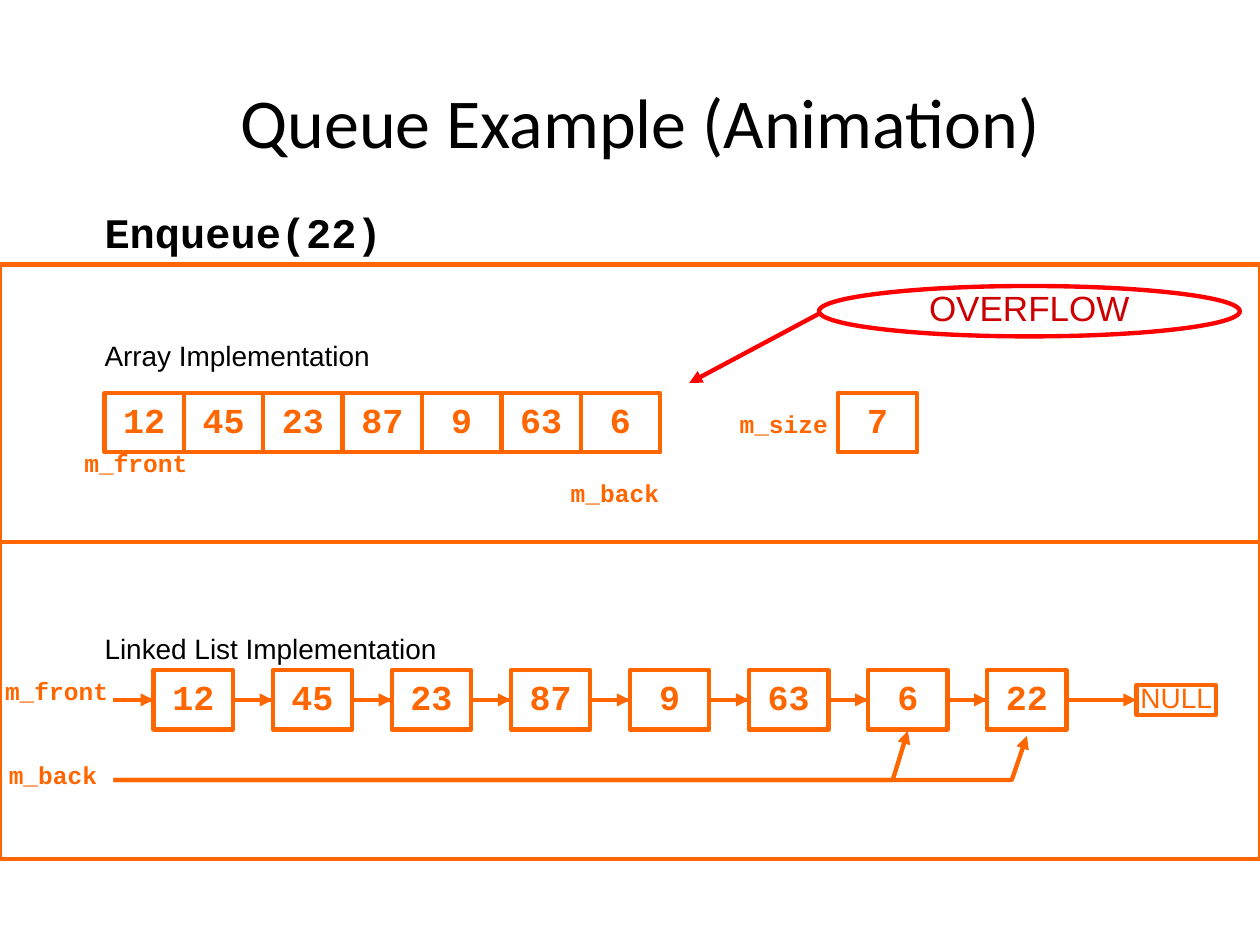
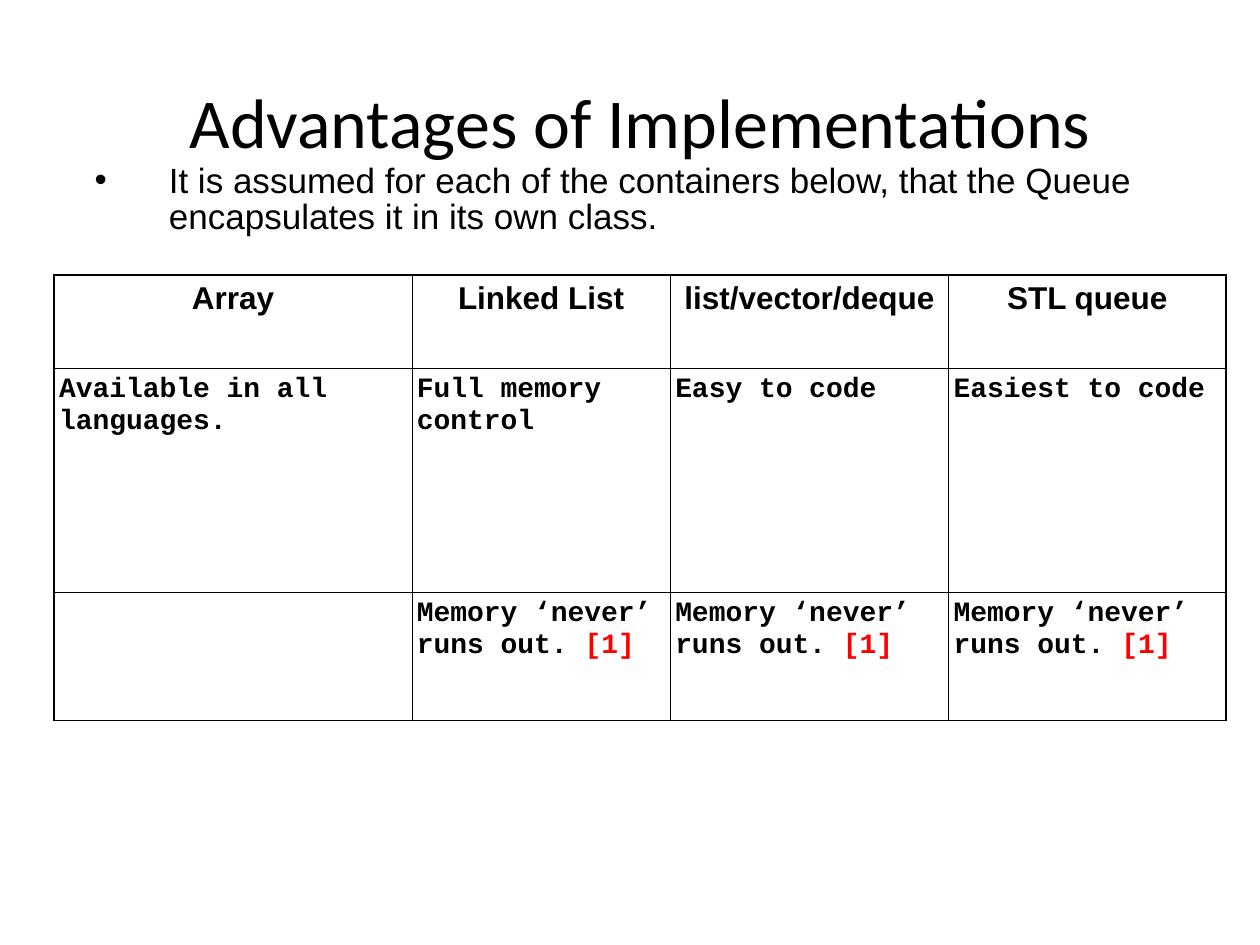
from lxml import etree
from pptx import Presentation
from pptx.dml.color import RGBColor
from pptx.enum.shapes import MSO_CONNECTOR, MSO_SHAPE
from pptx.enum.text import MSO_ANCHOR, MSO_AUTO_SIZE, PP_ALIGN
from pptx.oxml.ns import qn
from pptx.util import Inches, Pt

RECT, OVAL = MSO_SHAPE.RECTANGLE, MSO_SHAPE.OVAL
STRAIGHT = MSO_CONNECTOR.STRAIGHT
TOP, MIDDLE = MSO_ANCHOR.TOP, MSO_ANCHOR.MIDDLE
LEFT, CENTER = PP_ALIGN.LEFT, PP_ALIGN.CENTER
NO_AUTOFIT = MSO_AUTO_SIZE.NONE

BLACK = RGBColor(0, 0, 0)
WHITE = RGBColor(0xFF, 0xFF, 0xFF)
ORANGE = RGBColor(0xFF, 0x66, 0x00)
RED = RGBColor(0xFF, 0, 0)
DARK_RED = RGBColor(0xCC, 0, 0)

TITLE_FONT, SANS, MONO = "Calibri", "Arial", "Courier New"
TITLE_ONLY, TITLE_AND_BODY = 5, 1
SIDE_LEFT, SIDE_RIGHT = 1, 3

# The slide is a grid of 100 columns by 75 rows.
COLS, ROWS = 100, 75
MARGIN = 8.3
CELL_W, CELL_H = 6.3, 4.7
LINE_SPACING = 0.85
STROKE = Pt(2.5)
INNER_BORDER, OUTER_BORDER = Pt(0.45), Pt(1.08)


class Deck:
    """Holds the style and the current slide; lengths are grid columns and rows."""

    def __init__(self):
        self.prs = Presentation()
        self.prs.slide_width, self.prs.slide_height = Inches(10), Inches(7.5)
        self.col = self.prs.slide_width / COLS
        self.row = self.prs.slide_height / ROWS

    def at(self, *lengths):
        """Turn alternating columns and rows into EMU."""
        return [round(v * (self.row if i % 2 else self.col))
                for i, v in enumerate(lengths)]

    def new_slide(self, title, layout):
        self.s = self.prs.slides.add_slide(self.prs.slide_layouts[layout])
        sp = self.s.shapes.title
        self.place(sp, MARGIN, 6, 85, 7.1)
        tf = sp.text_frame
        tf.auto_size, tf.vertical_anchor = NO_AUTOFIT, MIDDLE
        tf.paragraphs[0].alignment = CENTER
        self.run(tf.paragraphs[0], title, 40, TITLE_FONT)

    def place(self, sp, *box):
        sp.left, sp.top, sp.width, sp.height = self.at(*box)

    def run(self, p, text, size, font, color=BLACK, bold=False):
        r = p.add_run()
        r.text = text
        r.font.size, r.font.name, r.font.bold = Pt(size), font, bold
        r.font.color.rgb = color

    def set_text(self, sp, text, size, font, color, bold, align, anchor):
        """Fill a shape's frame with one tight paragraph and return it."""
        tf = sp.text_frame
        tf.word_wrap, tf.auto_size, tf.vertical_anchor = True, NO_AUTOFIT, anchor
        tf.margin_left = tf.margin_right = tf.margin_top = tf.margin_bottom = 0
        p = tf.paragraphs[0]
        p.alignment, p.line_spacing, p.space_before = align, LINE_SPACING, Pt(0)
        self.run(p, text, size, font, color, bold)
        return p

    def label(self, x, y, text, size=16, font=SANS, color=BLACK, bold=False,
              w=39.4, h=2.3):
        sp = self.s.shapes.add_textbox(*self.at(x, y, w, h))
        self.set_text(sp, text, size, font, color, bold, LEFT, TOP)
        return sp

    def variable(self, x, y, name, w=11):
        return self.label(x, y, name, 14, MONO, ORANGE, True, w, 2)

    def outline(self, sp, fill=None, color=ORANGE):
        sp.shadow.inherit = False
        if fill is None:
            sp.fill.background()
        else:
            sp.fill.solid()
            sp.fill.fore_color.rgb = fill
        sp.line.color.rgb, sp.line.width = color, STROKE

    def box(self, x, y, w, h, text="", size=20, font=MONO, bold=False,
            fill=None, color=ORANGE, text_color=ORANGE, kind=RECT):
        sp = self.s.shapes.add_shape(kind, *self.at(x, y, w, h))
        self.outline(sp, fill, color)
        if text:
            self.set_text(sp, text, size, font, text_color, bold, CENTER, MIDDLE)
        return sp

    def cell(self, x, y, value, fill=None):
        return self.box(x, y, CELL_W, CELL_H, value, bold=True, fill=fill)

    def arrowhead(self, sp):
        ln = sp._element.spPr.find(qn("a:ln"))
        etree.SubElement(ln, qn("a:tailEnd"), type="triangle")

    def arrow(self, x1, y1, x2, y2, color=ORANGE, begin=None, end=None):
        """Draw an arrow, joined to the right of begin and the left of end."""
        sp = self.s.shapes.add_connector(STRAIGHT, *self.at(x1, y1, x2, y2))
        if begin is not None:
            sp.begin_connect(begin, SIDE_RIGHT)
        if end is not None:
            sp.end_connect(end, SIDE_LEFT)
        sp.line.color.rgb, sp.line.width = color, STROKE
        self.arrowhead(sp)
        etree.SubElement(sp._element.spPr, qn("a:effectLst"))
        return sp

    def bent_arrow(self, start, *points):
        builder = self.s.shapes.build_freeform(*self.at(*start))
        builder.add_line_segments([self.at(*pt) for pt in points], close=False)
        sp = builder.convert_to_shape()
        self.outline(sp)
        self.arrowhead(sp)

    def bullet(self, text, *box):
        sp = self.s.placeholders[1]
        self.place(sp, *box)
        p = self.set_text(sp, text, 20, SANS, BLACK, False, LEFT, TOP)
        pPr = p._p.get_or_add_pPr()
        indent = Inches(0.59)
        pPr.set("marL", str(indent))
        pPr.set("indent", str(-indent))
        etree.SubElement(pPr, qn("a:buChar"), char="•")

    def border(self, cell, outer_sides):
        """Rule a cell's four sides, heavier on the table's outer edge."""
        tcPr = cell._tc.get_or_add_tcPr()
        for i, side in enumerate("LRTB"):
            width = OUTER_BORDER if side in outer_sides else INNER_BORDER
            ln = etree.Element(qn(f"a:ln{side}"), w=str(width))
            fill = etree.SubElement(ln, qn("a:solidFill"))
            etree.SubElement(fill, qn("a:srgbClr"), val=str(BLACK))
            tcPr.insert(i, ln)

    def table(self, x, y, widths, heights, rows):
        """Add a table; each cell is a list of (text, colour) runs."""
        frame = self.s.shapes.add_table(
            len(heights), len(widths), *self.at(x, y, sum(widths), sum(heights)))
        tbl = frame.table
        tbl.first_row = tbl.horz_banding = False
        for column, w in zip(tbl.columns, widths):
            column.width = self.at(w)[0]
        for line, h in zip(tbl.rows, heights):
            line.height = self.at(0, h)[1]
        last_row, last_col = len(heights) - 1, len(widths) - 1
        for i, row in enumerate(rows):
            for j, runs in enumerate(row):
                cell = tbl.cell(i, j)
                cell.fill.background()
                cell.margin_left = cell.margin_right = Inches(0.04)
                cell.margin_top = cell.margin_bottom = Inches(0.05)
                edges = {"L": j == 0, "R": j == last_col,
                         "T": i == 0, "B": i == last_row}
                self.border(cell, [side for side in edges if edges[side]])
                p = cell.text_frame.paragraphs[0]
                p.alignment = LEFT if i else CENTER
                size, font = (16, MONO) if i else (18, SANS)
                for text, color in runs:
                    self.run(p, text, size, font, color, True)


def queue_example(deck):
    deck.new_slide("Queue Example (Animation)", TITLE_ONLY)
    node_y, pitch, first_node = 53.2, 1.5 * CELL_W, 12.2
    mid_y = node_y + CELL_H / 2
    spine = deck.arrow(MARGIN, mid_y, 90.2, mid_y)

    deck.label(MARGIN, 17, "Enqueue(22)", 24, MONO, bold=True, w=30.7, h=3.4)
    deck.label(MARGIN, 27.3, "Array Implementation")
    deck.label(MARGIN, 50.5, "Linked List Implementation")
    deck.box(0, 43, COLS, 25.2)
    deck.box(0, 21, COLS, 22)

    values = ["12", "45", "23", "87", "9", "63", "6"]
    array_y = 31.2
    for i, value in enumerate(values):
        deck.cell(MARGIN + i * CELL_W, array_y, value)
    deck.variable(6.7, 35.9, "m_front")
    deck.variable(45.3, 38.3, "m_back")
    deck.variable(58.7, 32.8, "m_size")
    deck.cell(66.5, array_y, "7")

    front = deck.variable(0.4, 54, "m_front", w=8.7)
    front.fill.solid()
    front.fill.fore_color.rgb = WHITE
    deck.variable(0.7, 60.7, "m_back")
    null = deck.box(90.2, mid_y - 1.2, CELL_W, 2.4, "NULL", 16, SANS)
    spine.end_connect(null, SIDE_LEFT)

    previous = None
    for i, value in enumerate(values + ["22"]):
        x = first_node + i * pitch
        node = deck.cell(x, node_y, value, WHITE)
        deck.arrow(9, mid_y, x, mid_y, begin=previous, end=node)
        previous = node

    back_y = 61.9
    for i, tip_y in ((7, 58.4), (6, 58)):
        tip_x = first_node + i * pitch + CELL_W / 2
        deck.bent_arrow((9, back_y), (tip_x - 1.2, back_y), (tip_x, tip_y))

    deck.box(65, 22.7, 33.4, 4, "OVERFLOW", font=SANS, fill=WHITE, color=RED,
             text_color=DARK_RED, kind=OVAL)
    deck.arrow(65, 24.9, 54.7, 30.4, RED)


def advantages(deck):
    deck.new_slide("Advantages of Implementations", TITLE_AND_BODY)
    headers = ["Array", "Linked List", "list/vector/deque", "STL queue"]
    benefits = ["Available in all languages.", "Full memory control",
                "Easy to code", "Easiest to code"]
    never_full = [("Memory ‘never’ runs out. ", BLACK), ("[1]", RED)]
    rows = [[[(text, BLACK)] for text in line] for line in (headers, benefits)]
    rows.append([[]] + [never_full] * 3)
    deck.table(4.3, 21.8, [28.4, 20.5, 22.1, 22], [7.4, 17.8, 10.2], rows)
    deck.bullet("It is assumed for each of the containers below, that the Queue "
                "encapsulates it in its own class.", 7.5, 13.1, 83.5, 5.7)


def main():
    deck = Deck()
    queue_example(deck)
    advantages(deck)
    deck.prs.save("out.pptx")


if __name__ == "__main__":
    main()
